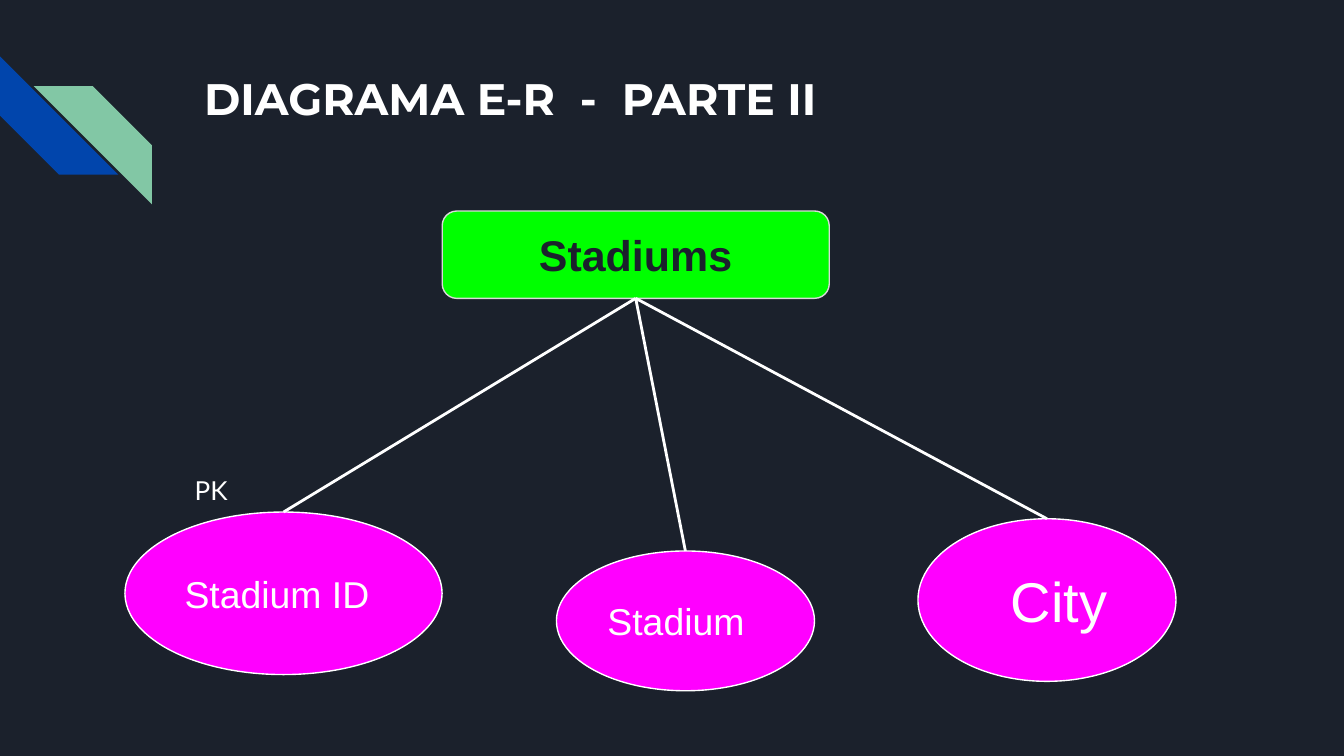
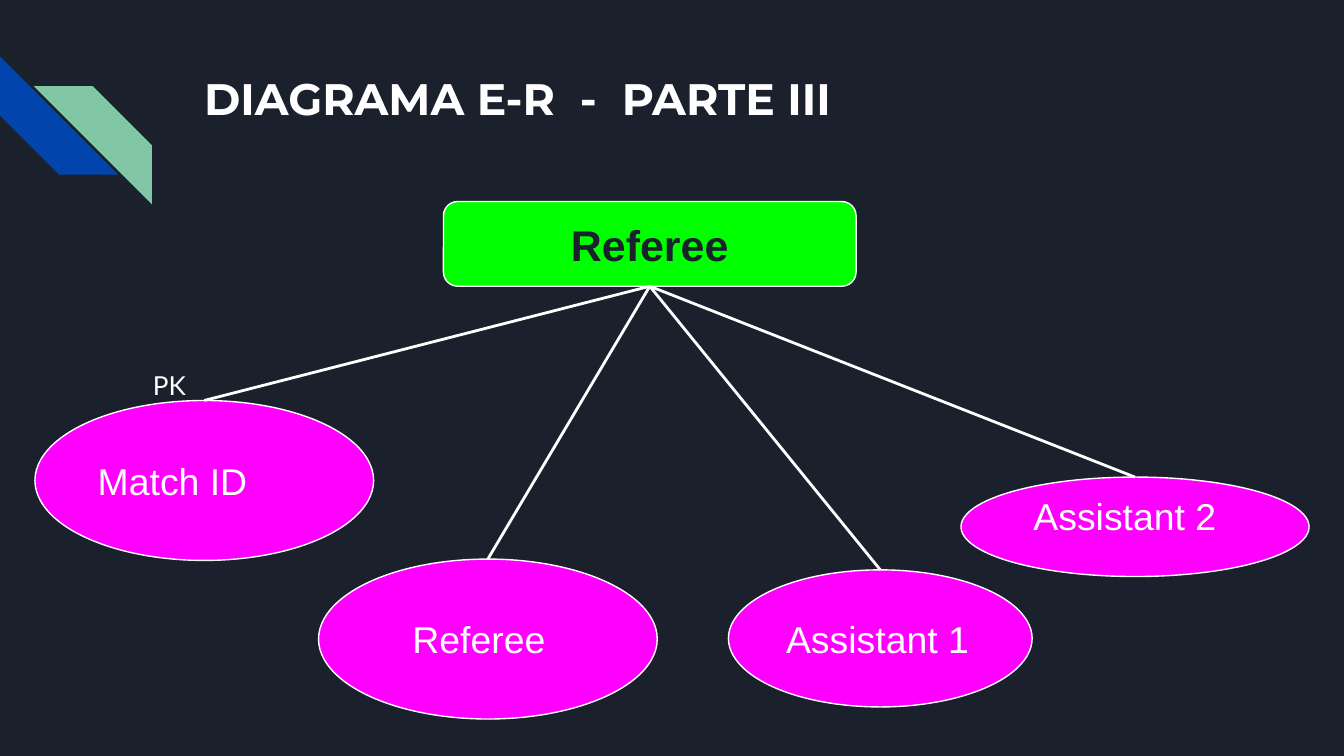
"""Builds two slides of entity-relation diagrams."""
from lxml import etree
from pptx import Presentation
from pptx.dml.color import RGBColor
from pptx.enum.shapes import MSO_CONNECTOR, MSO_SHAPE
from pptx.enum.text import MSO_ANCHOR, PP_ALIGN
from pptx.oxml.ns import qn
from pptx.util import Inches, Pt

STRIPE, OVAL = MSO_SHAPE.DIAGONAL_STRIPE, MSO_SHAPE.OVAL
ROUND = MSO_SHAPE.ROUNDED_RECTANGLE
STRAIGHT = MSO_CONNECTOR.STRAIGHT
TOP, MIDDLE = MSO_ANCHOR.TOP, MSO_ANCHOR.MIDDLE
LEFT, CENTER = PP_ALIGN.LEFT, PP_ALIGN.CENTER

WIDE = 10
HIGH = WIDE * 9 / 16
PAD = 0.1
BOTTOM_SITE, TOP_SITE = 2, 0
COLORS = {
    "night": "1B212C", "blue": "0145AC", "mint": "82C7A5", "lime": "00FF00",
    "pink": "FF00FF", "white": "FFFFFF", "gray": "D9D9D9",
}
FONTS = {
    "title": ("Montserrat", 23.6, "white", True),
    "root": ("Arial", 23, "night", True),
    "node": ("Arial", 20, "white", False),
    "large": ("Arial", 30, "white", False),
    "key": ("Lato", 14, "white", False),
}
TITLE_BOX = (1.42, 0.43, 7.7, 1)
STRIPES = [
    ((0, 0.42, 0.88, 0.88), "blue", 270),
    ((0.25, 0.64, 0.88, 0.88), "mint", 90),
]
EVEN = (PAD, PAD, PAD, PAD)
SLIDES = [
    {
        "title": "DIAGRAMA E-R  -  PARTE II",
        "root": ("Stadiums", (3.29, 1.57, 2.88, 0.65), "gray"),
        "nodes": [
            ("Stadium ID", (0.93, 3.81, 2.36, 1.21), "node", EVEN),
            ("Stadium", (4.14, 4.1, 1.92, 1.04), "node", EVEN),
            ("City", (6.83, 3.86, 1.92, 1.21), "large", (0.41, PAD, PAD, PAD)),
        ],
        "key": (1.35, 3.43, 5.22, 0.44),
    },
    {
        "title": "DIAGRAMA E-R  -  PARTE III",
        "root": ("Referee", (3.3, 1.5, 3.07, 0.63), "white"),
        "nodes": [
            ("Match ID", (0.26, 2.98, 2.52, 1.19), "node", EVEN),
            ("Referee", (2.37, 4.16, 2.52, 1.19), "node", (0.33, PAD, PAD, PAD)),
            ("Assistant 1", (5.42, 4.24, 2.26, 1.02), "node", EVEN),
            ("Assistant 2", (7.15, 3.55, 2.59, 0.74), "node", (0.16, 0, PAD, 0.17)),
        ],
        "key": (1.04, 2.65, 5.57, 0.44),
    },
]


def color(name):
    return RGBColor.from_string(COLORS[name])


def write(shape, text, style, anchor=TOP, align=LEFT, pads=EVEN):
    frame = shape.text_frame
    frame.word_wrap = True
    frame.vertical_anchor = anchor
    (frame.margin_left, frame.margin_top,
     frame.margin_right, frame.margin_bottom) = map(Inches, pads)
    line = frame.paragraphs[0]
    line.alignment = align
    run = line.add_run()
    run.text = text
    face, size, ink, bold = FONTS[style]
    run.font.name, run.font.size, run.font.bold = face, Pt(size), bold
    run.font.color.rgb = color(ink)


def label(slide, text, box, style):
    write(slide.shapes.add_textbox(*map(Inches, box)), text, style)


def draw(slide, kind, box, fill, edge=None):
    shape = slide.shapes.add_shape(kind, *map(Inches, box))
    shape.shadow.inherit = False
    shape.fill.solid()
    shape.fill.fore_color.rgb = color(fill)
    if edge:
        shape.line.color.rgb = color(edge)
        shape.line.width = Pt(0.75)
    else:
        shape.line.fill.background()
    return shape


def link(slide, root, node):
    wire = slide.shapes.add_connector(STRAIGHT, 0, 0, 0, 0)
    wire.begin_connect(root, BOTTOM_SITE)
    wire.end_connect(node, TOP_SITE)
    wire.line.color.rgb = color("white")
    wire.line.width = Pt(1.5)
    etree.SubElement(wire._element.spPr, qn("a:effectLst"))


def build(deck, data):
    slide = deck.slides.add_slide(deck.slide_layouts[6])
    for box, fill, turn in STRIPES:
        draw(slide, STRIPE, box, fill).rotation = turn
    name, box, edge = data["root"]
    root = draw(slide, ROUND, box, "lime", edge)
    write(root, name, "root", MIDDLE, CENTER)
    for name, box, style, pads in data["nodes"]:
        node = draw(slide, OVAL, box, "pink", "white")
        write(node, name, style, MIDDLE, pads=pads)
        link(slide, root, node)
    label(slide, "PK", data["key"], "key")
    label(slide, data["title"], TITLE_BOX, "title")


def main():
    deck = Presentation()
    deck.slide_width, deck.slide_height = Inches(WIDE), Inches(HIGH)
    back = deck.slide_master.background.fill
    back.solid()
    back.fore_color.rgb = color("night")
    for data in SLIDES:
        build(deck, data)
    deck.save("out.pptx")


if __name__ == "__main__":
    main()
